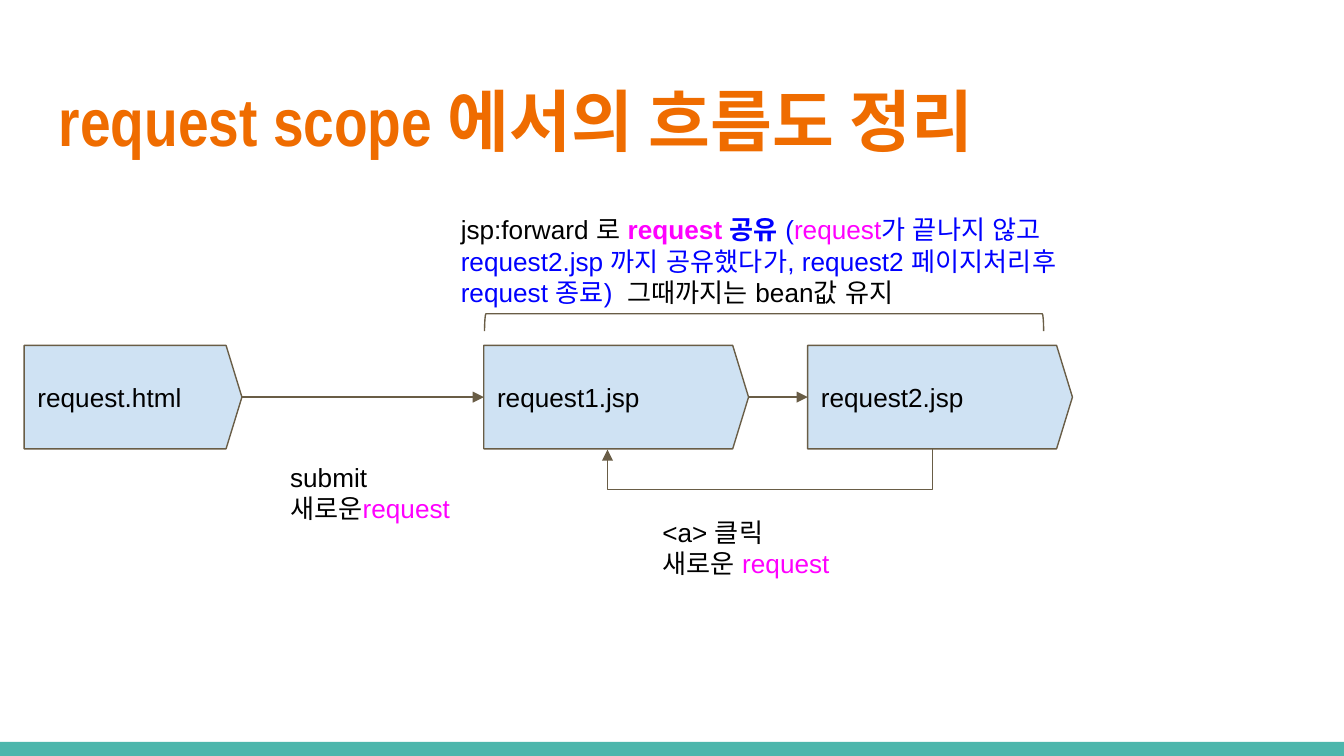
from lxml import etree
from pptx import Presentation
from pptx.dml.color import RGBColor
from pptx.enum.lang import MSO_LANGUAGE_ID
from pptx.enum.shapes import MSO_CONNECTOR, MSO_SHAPE
from pptx.enum.text import MSO_ANCHOR, PP_ALIGN
from pptx.oxml.ns import qn
from pptx.util import Inches, Pt

STRAIGHT, ELBOW = MSO_CONNECTOR.STRAIGHT, MSO_CONNECTOR.ELBOW
RECTANGLE, PENTAGON = MSO_SHAPE.RECTANGLE, MSO_SHAPE.PENTAGON
BRACKET = MSO_SHAPE.LEFT_BRACKET
TOP, MIDDLE, LEFT = MSO_ANCHOR.TOP, MSO_ANCHOR.MIDDLE, PP_ALIGN.LEFT
KOREAN = MSO_LANGUAGE_ID.KOREAN
COLORS = {
    "teal": "4DB6AC", "orange": "EF6C00", "page": "CFE2F3", "line": "695D46",
    "black": "000000", "pink": "FF00FF", "blue": "0000FF",
}


def color(name):
    """Return the named colour."""
    return RGBColor.from_string(COLORS[name])


def add_run(paragraph, text, color_name, bold, size, font):
    """Add one run with the font set for Latin and Korean letters."""
    run = paragraph.add_run()
    run.text = text
    run.font.size = Pt(size)
    run.font.bold = bold
    run.font.language_id = KOREAN
    run.font.color.rgb = color(color_name)
    run.font.name = font
    for tag in ("a:ea", "a:cs"):
        etree.SubElement(run._r.get_or_add_rPr(), qn(tag), typeface=font)


def fill_text(shape, paragraphs, size=14, font="Arial", anchor=TOP):
    """Write paragraphs of (text, colour, bold) runs; None breaks the line."""
    frame = shape.text_frame
    frame.word_wrap = True
    frame.vertical_anchor = anchor
    frame.margin_left = frame.margin_right = Inches(0.1)
    frame.margin_top = frame.margin_bottom = Inches(0.1)
    for index, runs in enumerate(paragraphs):
        paragraph = frame.add_paragraph() if index else frame.paragraphs[0]
        paragraph.alignment = LEFT
        for run in runs:
            if run is None:
                paragraph.add_line_break()
            else:
                add_run(paragraph, *run, size, font)


def add_text(slide, box, paragraphs, **style):
    """Add a text box."""
    shape = slide.shapes.add_textbox(*map(Inches, box))
    fill_text(shape, paragraphs, **style)


def add_shape(slide, kind, box, fill=None, line=None):
    """Add a preset shape with a plain fill and outline."""
    shape = slide.shapes.add_shape(kind, *map(Inches, box))
    shape.shadow.inherit = False
    if fill:
        shape.fill.solid()
        shape.fill.fore_color.rgb = color(fill)
    else:
        shape.fill.background()
    if line:
        shape.line.color.rgb = color(line)
        shape.line.width = Pt(0.75)
    else:
        shape.line.fill.background()
    return shape


def add_arrow(slide, kind, start, end):
    """Add a connector with a triangle at its end."""
    arrow = slide.shapes.add_connector(kind, *map(Inches, start + end))
    arrow.line.color.rgb = color("line")
    arrow.line.width = Pt(0.75)
    etree.SubElement(arrow.line._get_or_add_ln(), qn("a:tailEnd"), type="triangle")
    etree.SubElement(arrow._element.spPr, qn("a:effectLst"))
    return arrow


def add_return_arrow(slide, start_x, end_x, y, drop):
    """Add an elbow arrow that dips below y and comes back up to it."""
    center, half, thin = (start_x + end_x) / 2, (start_x - end_x) / 2, 0.01
    arrow = add_arrow(slide, ELBOW, (center - thin / 2, y - half),
                      (center + thin / 2, y + half))
    properties = arrow._element.spPr
    properties.find(qn("a:xfrm")).set("rot", str(90 * 60000))
    guides = properties.find(qn("a:prstGeom")).get_or_add_avLst()
    etree.SubElement(guides, qn("a:gd"), name="adj1",
                     fmla=f"val {round(drop / thin * 100000)}")


def add_header(slide, left, top, width, height):
    """Add the slide title."""
    title = [[("request scope 에서의 흐름도 정리", "orange", True)]]
    add_text(slide, (left, top, width, height), title, size=36, font="Arial Narrow")


def add_pages(slide, left, top, height):
    """Add the three pages and the arrows between them."""
    pages = [("request.html", 0, 1.62), ("request1.jsp", 3.42, 1.97),
             ("request2.jsp", 5.83, 1.97)]
    middle, previous_end = top + height / 2, None
    for name, offset, width in pages:
        start = left + offset
        page = add_shape(slide, PENTAGON, (start, top, width, height), "page", "line")
        page.adjustments[0] = 0.153
        fill_text(page, [[(name, "black", False)]], anchor=MIDDLE)
        if previous_end is not None:
            add_arrow(slide, STRAIGHT, (previous_end, middle), (start, middle))
        previous_end = start + width
    add_return_arrow(slide, left + 6.76, left + 4.34, top + height, 0.31)


def add_shared_request(slide, left, top, width):
    """Add the shared request note and the bracket below it."""
    note = [
        ("jsp:forward 로 ", "black", False),
        ("request", "pink", True),
        (" 공유", "blue", True),
        (" (", "blue", False),
        ("request", "pink", False),
        ("가 끝나지 않고 request2.jsp 까지 공유했다가, "
         "request2 페이지처리후 request 종료) ", "blue", False),
        (" 그때까지는 bean값 유지", "black", False),
    ]
    add_text(slide, (left, top, width, 0.29), [note])
    bracket = add_shape(slide, BRACKET, (left + 2.29, top - 1.17, 0.13, 4.16), line="line")
    bracket.adjustments[0] = 0.083
    bracket.rotation = 90


def add_new_request(slide, box, paragraphs):
    """Add a note on what starts a new request."""
    add_text(slide, box, [[run and (*run, False) for run in runs] for runs in paragraphs])


def main():
    """Build and save the slide."""
    presentation = Presentation()
    presentation.slide_width = Inches(10)
    presentation.slide_height = presentation.slide_width * 9 // 16
    slide = presentation.slides.add_slide(presentation.slide_layouts[6])
    add_shape(slide, RECTANGLE, (0, 5.52, 10, 0.11), "teal")
    add_header(slide, 0.34, 0.49, 9.32, 0.77)
    add_pages(slide, 0.18, 2.57, 0.77)
    add_shared_request(slide, 3.33, 1.49, 4.82)
    request = ("request", "pink")
    add_new_request(slide, (4.83, 3.74, 1.62, 0.29),
                    [[("<a> 클릭", "black"), None, ("새로운 ", "black"), request]])
    add_new_request(slide, (2.06, 3.33, 1.62, 0.64),
                    [[("submit", "black")], [("새로운", "black"), request]])
    presentation.save("out.pptx")


if __name__ == "__main__":
    main()
